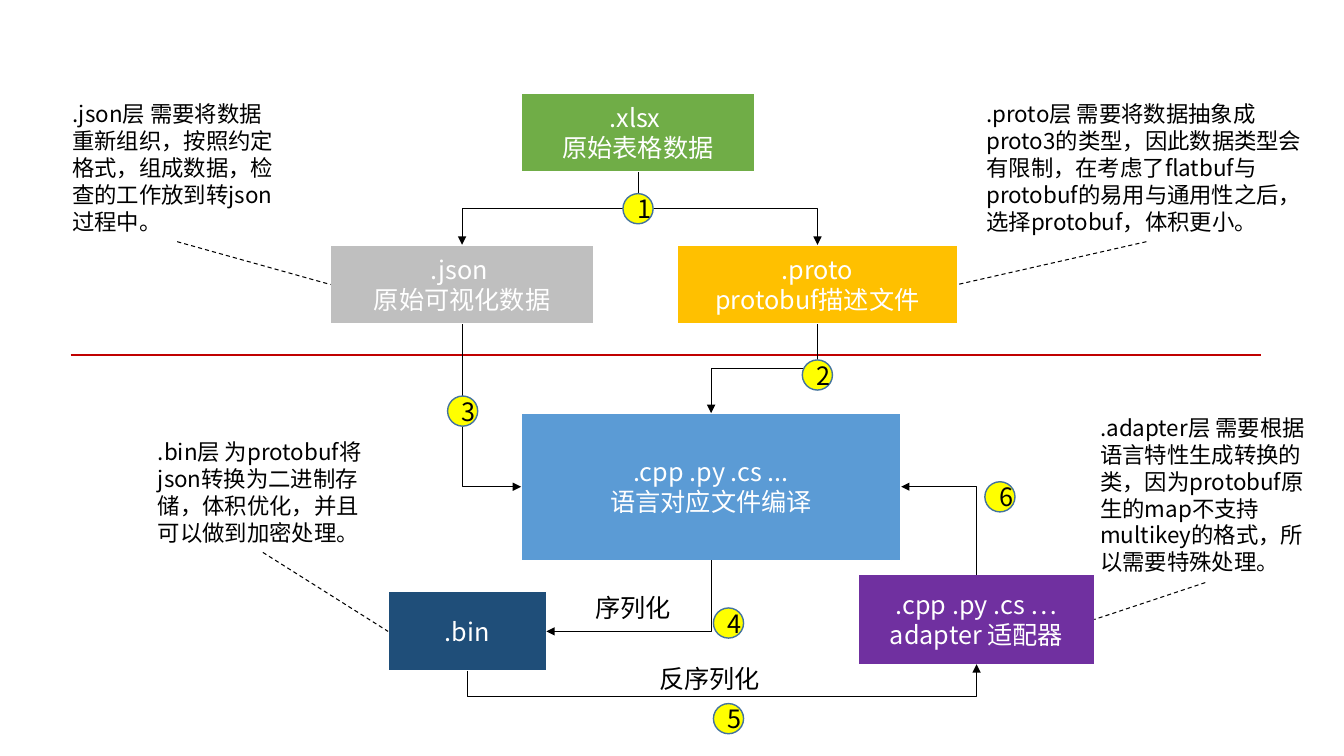
from dataclasses import dataclass

from pptx import Presentation
from pptx.dml.color import RGBColor
from pptx.enum.dml import MSO_LINE
from pptx.enum.shapes import MSO_CONNECTOR as Conn, MSO_SHAPE as Shape
from pptx.enum.text import MSO_ANCHOR as Anchor, MSO_AUTO_SIZE as AutoSize, PP_ALIGN as Align
from pptx.oxml.ns import qn
from pptx.util import Cm, Pt


@dataclass(frozen=True)
class Theme:
    """Colours, font and sizes of the slide."""
    font: str = "Noto Sans CJK SC"
    body: int = 18
    note: int = 16
    black: str = "000000"
    white: str = "FFFFFF"
    green: str = "70AD47"
    grey: str = "BFBFBF"
    amber: str = "FFC000"
    navy: str = "1F4E79"
    blue: str = "5B9BD5"
    purple: str = "7030A0"
    red: str = "C00000"
    yellow: str = "FFFF00"
    rim: str = "43739E"


T = Theme()


def rgb(code):
    """Turn a hex code into a colour."""
    return RGBColor.from_string(code)


def write(tf, lines, size, color, align):
    """Write one paragraph per line into a text frame."""
    tf.word_wrap = True
    for i, line in enumerate(lines):
        p = tf.add_paragraph() if i else tf.paragraphs[0]
        p.alignment = align
        r = p.add_run()
        r.text = line
        r.font.name = T.font
        r.font.size = Pt(size)
        r.font.color.rgb = rgb(color)
        ea = r.font._element.makeelement(qn("a:ea"), {"typeface": T.font})
        r.font._element.find(qn("a:latin")).addnext(ea)


def add_figure(s, kind, place, fill, rim, lines, color):
    """Add a filled shape with centred text."""
    sp = s.shapes.add_shape(kind, *map(Cm, place))
    sp.shadow.inherit = False
    sp.fill.solid()
    sp.fill.fore_color.rgb = rgb(fill)
    sp.line.color.rgb = rgb(rim)
    sp.line.width = Pt(1)
    sp.text_frame.vertical_anchor = Anchor.MIDDLE
    write(sp.text_frame, lines, T.body, color, Align.CENTER)


def add_box(s, place, fill, *lines):
    """Add a file box and return its anchor points in cm."""
    add_figure(s, Shape.RECTANGLE, place, fill, T.white, lines, T.white)
    return anchors(place)


def add_badge(s, number, x, y):
    """Add a numbered step circle."""
    add_figure(s, Shape.OVAL, (x, y, 0.76, 0.76), T.yellow, T.rim, [str(number)], T.black)


def add_text(s, place, text, size):
    """Add a plain text box and return its anchor points in cm."""
    box = s.shapes.add_textbox(*map(Cm, place))
    write(box.text_frame, [text], size, T.black, Align.LEFT)
    box.text_frame.auto_size = AutoSize.SHAPE_TO_FIT_TEXT
    return anchors(place)


def anchors(place):
    """Return the middle of each side of a rectangle."""
    x, y, w, h = place
    return {"top": (x + w / 2, y), "bottom": (x + w / 2, y + h),
            "left": (x, y + h / 2), "right": (x + w, y + h / 2)}


def add_line(s, start, end, color, width, kind=Conn.STRAIGHT, dash=None):
    """Add a connector without shadow."""
    c = s.shapes.add_connector(kind, *map(Cm, (*start, *end)))
    c.line.color.rgb = rgb(color)
    c.line.width = Pt(width)
    if dash:
        c.line.dash_style = dash
    pr = c._element.spPr
    pr.append(pr.makeelement(qn("a:effectLst"), {}))
    return c


def add_elbow(s, start, end, corners=2, bend=0.5):
    """Add a bent arrow that leaves vertically; bend is the turn's share of its height."""
    (x1, y1), (x2, y2) = start, end
    w, h = abs(y2 - y1), abs(x2 - x1)
    left, top = (x1 + x2 - w) / 2, (y1 + y2 - h) / 2
    c = add_line(s, (left, top), (left + w, top + h), T.black, 0.5, Conn.ELBOW)
    right, up = x2 > x1, y2 < y1
    pr = c._element.spPr
    xfrm = pr.find(qn("a:xfrm"))
    xfrm.set("rot", str((90 if right == up else 270) * 60000))
    xfrm.set("flipH", str(int(right)))
    xfrm.set("flipV", str(int(up)))
    geom = pr.find(qn("a:prstGeom"))
    geom.set("prst", f"bentConnector{corners + 1}")
    if corners == 2:
        guides = geom.find(qn("a:avLst"))
        guides.append(guides.makeelement(
            qn("a:gd"), {"name": "adj1", "fmla": f"val {round(bend * 100000)}"}))
    ln = c.line._get_or_add_ln()
    ln.append(ln.makeelement(qn("a:tailEnd"), {"type": "triangle"}))


def main():
    """Build the data pipeline slide."""
    prs = Presentation()
    prs.slide_width, prs.slide_height = Cm(33.87), Cm(19.05)
    s = prs.slides.add_slide(prs.slide_layouts[6])

    xlsx = add_box(s, (13.13, 2.34, 5.89, 2), T.green, ".xlsx ", "原始表格数据")
    json = add_box(s, (8.33, 6.17, 6.63, 2), T.grey, ".json ", "原始可视化数据")
    proto = add_box(s, (17.07, 6.17, 7.06, 2), T.amber, ".proto", "protobuf描述文件")
    code = add_box(s, (13.13, 10.41, 9.58, 3.71), T.blue, ".cpp .py .cs ...", "语言对应文件编译")
    binary = add_box(s, (9.78, 14.91, 3.99, 2), T.navy, ".bin")
    adapter = add_box(s, (21.64, 14.48, 5.94, 2.26), T.purple, ".cpp .py .cs …", "adapter 适配器")

    add_line(s, (1.78, 8.94), (31.78, 8.94), T.red, 1.5)

    add_elbow(s, xlsx["bottom"], json["top"])
    add_elbow(s, xlsx["bottom"], proto["top"])
    add_elbow(s, proto["bottom"], code["top"])
    add_elbow(s, json["bottom"], code["left"], corners=1)
    add_elbow(s, code["bottom"], binary["right"], corners=1)
    add_elbow(s, binary["bottom"], adapter["bottom"], bend=-3.73)
    add_elbow(s, adapter["top"], code["right"], corners=1)

    notes = [
        ((1.57, 2.41, 5.79, 3.68), json["left"],
         ".json层 需要将数据重新组织，按照约定格式，组成数据，检查的工作放到转json过程中。"),
        ((24.61, 2.41, 8.56, 3.68), proto["right"],
         ".proto层 需要将数据抽象成proto3的类型，因此数据类型会有限制，"
         "在考虑了flatbuf与protobuf的易用与通用性之后，选择protobuf，体积更小。"),
        ((3.73, 10.92, 5.79, 3), binary["left"],
         ".bin层 为protobuf将json转换为二进制存储，体积优化，并且可以做到加密处理。"),
        ((27.48, 10.31, 5.79, 4.37), adapter["right"],
         ".adapter层 需要根据语言特性生成转换的类，因为protobuf原生的map"
         "不支持multikey的格式，所以需要特殊处理。"),
    ]
    for place, target, text in notes:
        note = add_text(s, place, text, T.note)
        add_line(s, note["bottom"], target, T.black, 0.75, dash=MSO_LINE.DASH)

    add_text(s, (14.76, 14.81, 2.74, 1.02), "序列化", T.body)
    add_text(s, (16.36, 16.59, 3.12, 1.02), "反序列化", T.body)

    badges = [(15.7, 4.88), (20.22, 9.07), (11.28, 9.98),
              (17.98, 15.32), (17.98, 17.73), (24.82, 12.14)]
    for number, (x, y) in enumerate(badges, 1):
        add_badge(s, number, x, y)

    prs.save("out.pptx")


main()
